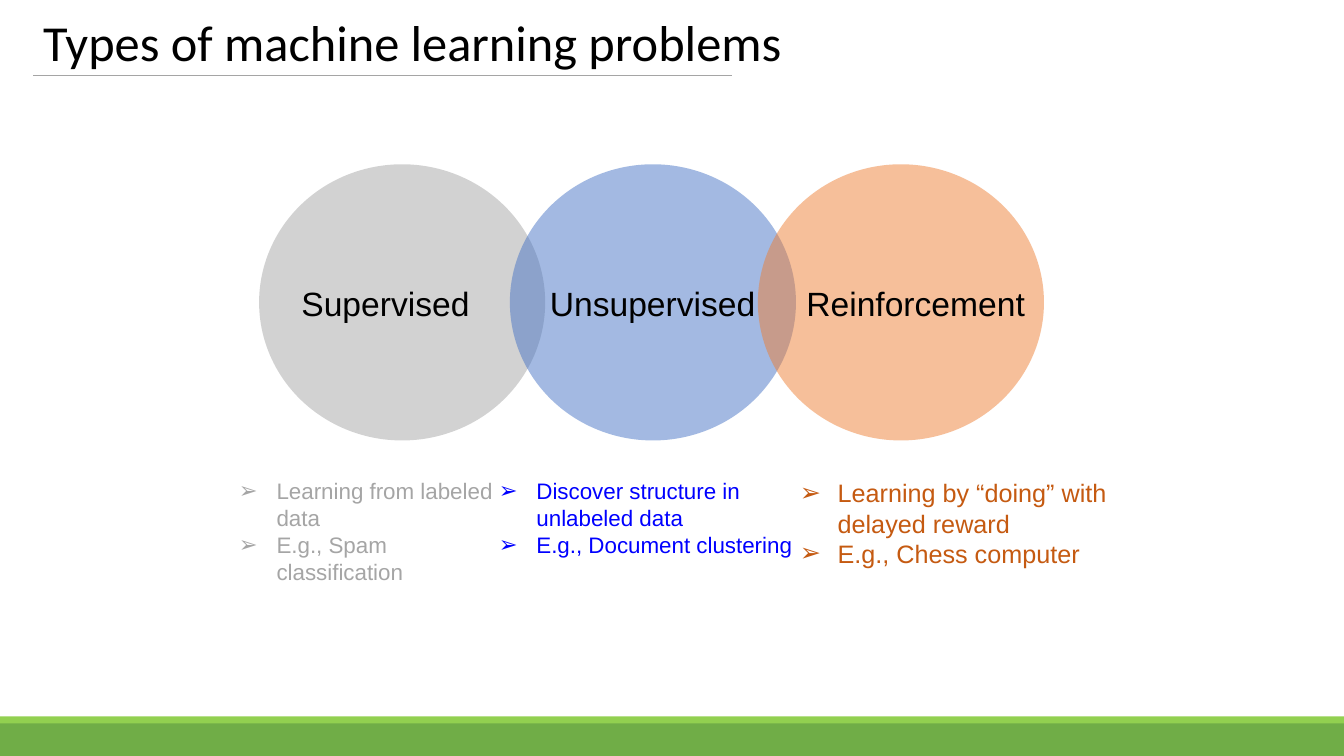
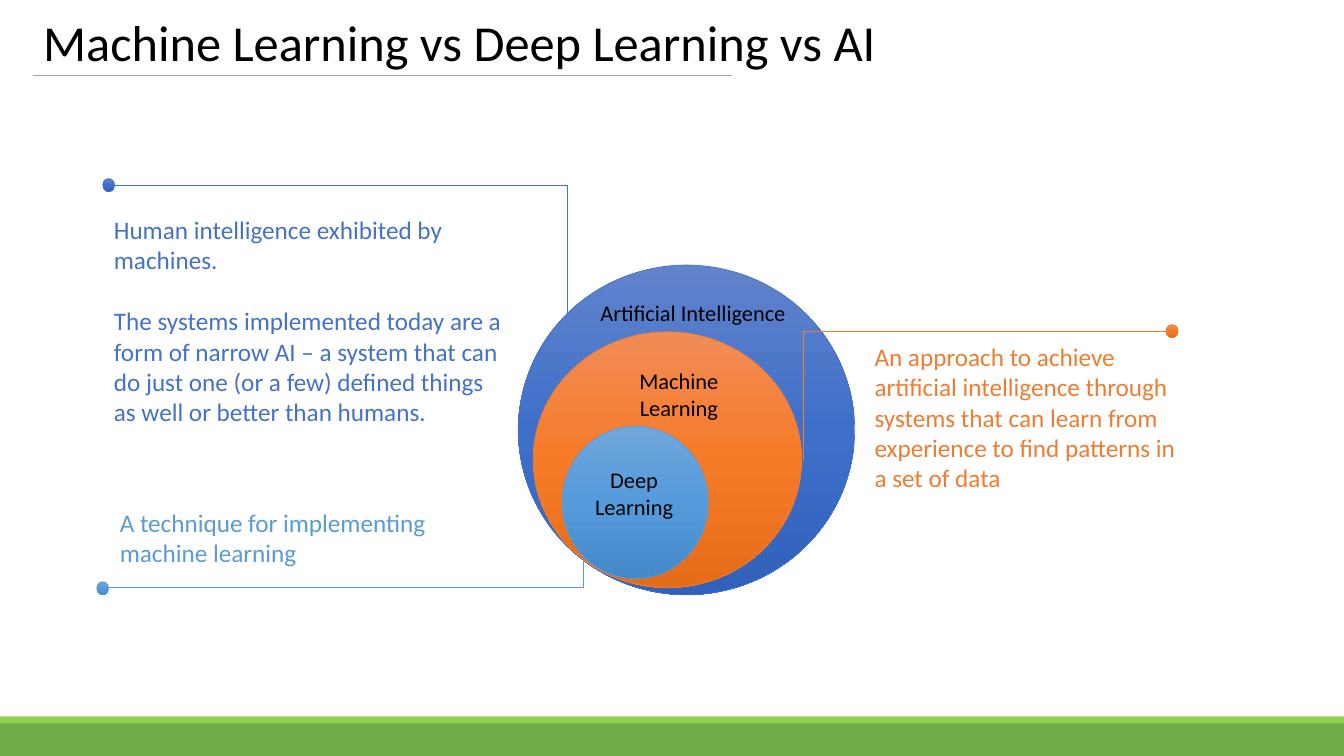
"""Build two slides on kinds of machine learning and how it relates to AI."""
from copy import deepcopy
from dataclasses import dataclass

from lxml.etree import SubElement
from pptx import Presentation
from pptx.dml.color import RGBColor
from pptx.enum.shapes import MSO_CONNECTOR, MSO_SHAPE
from pptx.enum.text import MSO_ANCHOR, PP_ALIGN
from pptx.oxml.ns import qn
from pptx.shapes.connector import Connector
from pptx.slide import Slide
from pptx.util import Cm, Pt

COLORS = {
    "black": "000000", "gray": "A5A5A5", "blue": "4472C4", "orange": "ED7D31",
    "sky": "5B9BD5", "pure_blue": "0000FF", "rust": "C55A11",
    "green": "70AD47", "lime": "92D050",
}
GRADIENTS = {
    "blue": ("6183CB", "3E70CA", "3062BB"),
    "orange": ("F18C57", "F67B28", "E56C19"),
    "sky": ("71A6DB", "559BDB", "448ACA"),
}
WIDTH, HEIGHT = 33.87, 19.05
Box = tuple[float, float, float, float]
Point = tuple[float, float]


@dataclass(frozen=True)
class TextStyle:
    font: str
    size: int
    color: str = "black"
    align: PP_ALIGN = PP_ALIGN.LEFT
    anchor: MSO_ANCHOR = MSO_ANCHOR.TOP
    line_spacing: float = 1.0
    space_before: int = 0
    bullet: str = ""


@dataclass(frozen=True)
class ProblemType:
    name: str
    fill: str
    circle_left: float
    label_left: float
    points: tuple[str, ...]
    points_box: Box
    points_size: int
    points_color: str


@dataclass(frozen=True)
class Field:
    name: str
    color: str
    circle: Box
    label: Box
    dot: Point
    leader_start: Point
    leader_end: Point
    definition: tuple[str, ...]
    definition_box: Box


PROBLEM_TYPES = (
    ProblemType("Supervised", "gray", 6.53, 6.25,
                ("Learning from labeled data", "E.g., Spam classification"),
                (5.77, 11.91, 7.21, 3), 16, "gray"),
    ProblemType("Unsupervised", "blue", 12.85, 12.98,
                ("Discover structure in unlabeled data", "E.g., Document clustering"),
                (12.32, 11.91, 8.31, 2.31), 16, "pure_blue"),
    ProblemType("Reinforcement", "orange", 19.1, 19.61,
                ("Learning by “doing” with delayed reward", "E.g., Chess computer"),
                (19.91, 11.91, 8.79, 2.57), 18, "rust"),
)
FIELDS = (
    Field("Artificial Intelligence", "blue",
          (13.06, 6.68, 8.48, 8.31), (14.76, 7.42, 5.41, 0.94),
          (2.59, 4.5), (2.82, 4.67), (14.3, 7.9),
          ("Human intelligence exhibited by machines.",
           "The systems implemented today are a form of narrow AI – a system that can "
           "do just one (or a few) defined things as well or better than humans."),
          (2.62, 5.28, 10.44, 6.4)),
    Field("Machine Learning", "orange",
          (13.44, 8.36, 6.76, 6.45), (15.19, 9.12, 3.84, 1.63),
          (29.39, 8.18), (29.51, 8.36), (20.24, 11.63),
          ("An approach to achieve artificial intelligence through systems that can "
           "learn from experience to find patterns in a set of data",),
          (21.79, 8.48, 8.13, 4.88)),
    Field("Deep Learning", "sky",
          (14.17, 10.74, 3.68, 3.84), (14.66, 11.63, 2.64, 1.63),
          (2.44, 14.66), (2.59, 14.81), (14.71, 14.02),
          ("A technique for implementing machine learning",),
          (2.77, 12.65, 10.39, 1.8)),
)


def rgb(name: str) -> RGBColor:
    return RGBColor.from_string(COLORS[name])


def add_text(s: Slide, box: Box, texts: tuple[str, ...], style: TextStyle) -> None:
    tf = s.shapes.add_textbox(*map(Cm, box)).text_frame
    tf.word_wrap = True
    tf.vertical_anchor = style.anchor
    for i, text in enumerate(texts):
        p = tf.add_paragraph() if i else tf.paragraphs[0]
        p.alignment = style.align
        p.line_spacing = style.line_spacing
        if i:
            p.space_before = Pt(style.space_before)
        if style.bullet:
            props = p._p.get_or_add_pPr()
            props.set("marL", str(Cm(0.95)))
            props.set("indent", str(-Cm(0.95)))
            SubElement(props, qn("a:buFont"), typeface="Arial")
            SubElement(props, qn("a:buChar"), char=style.bullet)
        r = p.add_run()
        r.text = text
        r.font.name = style.font
        r.font.size = Pt(style.size)
        r.font.color.rgb = rgb(style.color)


def add_solid(s: Slide, kind: MSO_SHAPE, box: Box, color: str, alpha: int = 100) -> None:
    sp = s.shapes.add_shape(kind, *map(Cm, box))
    sp.shadow.inherit = False
    sp.line.fill.background()
    sp.fill.solid()
    sp.fill.fore_color.rgb = rgb(color)
    if alpha < 100:
        clr = sp._element.spPr.find(".//" + qn("a:srgbClr"))
        SubElement(clr, qn("a:alpha"), val=str(alpha * 1000))


def add_gradient_ellipse(s: Slide, box: Box, color: str) -> None:
    sp = s.shapes.add_shape(MSO_SHAPE.OVAL, *map(Cm, box))
    sp.shadow.inherit = False
    sp.line.color.rgb = rgb(color)
    sp.line.width = Pt(0.5)
    sp.fill.gradient()
    sp.fill.gradient_angle = 270
    stop_list = sp._element.spPr.find(".//" + qn("a:gsLst"))
    stop_list.append(deepcopy(stop_list[-1]))
    for i, (stop, value) in enumerate(zip(sp.fill.gradient_stops, GRADIENTS[color])):
        stop.position = i / 2
        stop.color.rgb = RGBColor.from_string(value)


def add_line(s: Slide, kind: MSO_CONNECTOR, start: Point, end: Point, color: str) -> Connector:
    line = s.shapes.add_connector(kind, *map(Cm, start + end))
    line.line.color.rgb = rgb(color)
    line.line.width = Pt(0.5)
    SubElement(line._element.spPr, qn("a:effectLst"))
    return line


def add_leader(s: Slide, start: Point, end: Point, color: str) -> None:
    leader = add_line(s, MSO_CONNECTOR.ELBOW, start, end, color)
    guides = leader._element.spPr.find(".//" + qn("a:avLst"))
    SubElement(guides, qn("a:gd"), name="adj1", fmla="val 100000")


def add_titled_slide(prs: Presentation, title: str) -> Slide:
    s = prs.slides.add_slide(prs.slide_layouts[6])
    add_solid(s, MSO_SHAPE.RECTANGLE, (0, 18.21, WIDTH, 0.84), "green")
    add_solid(s, MSO_SHAPE.RECTANGLE, (0, 18.05, WIDTH, 0.18), "lime")
    add_line(s, MSO_CONNECTOR.STRAIGHT, (0.84, 1.89), (18.44, 1.89), "gray")
    add_text(s, (0.84, 0.38, 32.36, 1.52), (title,),
             TextStyle("Calibri", 36, anchor=MSO_ANCHOR.MIDDLE, line_spacing=0.9))
    return s


def add_problem_types(prs: Presentation) -> None:
    s = add_titled_slide(prs, "Types of machine learning problems")
    for kind in PROBLEM_TYPES:
        add_solid(s, MSO_SHAPE.OVAL, (kind.circle_left, 4.14, 7.21, 6.96), kind.fill, 49)
    for kind in PROBLEM_TYPES:
        add_text(s, (kind.label_left, 7.01, 6.93, 1.27), (kind.name,),
                 TextStyle("Arial", 24, align=PP_ALIGN.CENTER))
        add_text(s, kind.points_box, kind.points,
                 TextStyle("Arial", kind.points_size, kind.points_color, bullet="➢"))


def add_field_comparison(prs: Presentation) -> None:
    s = add_titled_slide(prs, "Machine Learning vs Deep Learning vs AI")
    for field in FIELDS:
        add_gradient_ellipse(s, field.circle, field.color)
        add_text(s, field.label, (field.name,),
                 TextStyle("Calibri", 16, align=PP_ALIGN.CENTER))
        add_leader(s, field.leader_start, field.leader_end, field.color)
        add_gradient_ellipse(s, field.dot + (0.3, 0.33), field.color)
        add_text(s, field.definition_box, field.definition,
                 TextStyle("Calibri", 18, field.color, space_before=22))


def main() -> None:
    prs = Presentation()
    prs.slide_width, prs.slide_height = Cm(WIDTH), Cm(HEIGHT)
    add_problem_types(prs)
    add_field_comparison(prs)
    prs.save("out.pptx")


if __name__ == "__main__":
    main()
